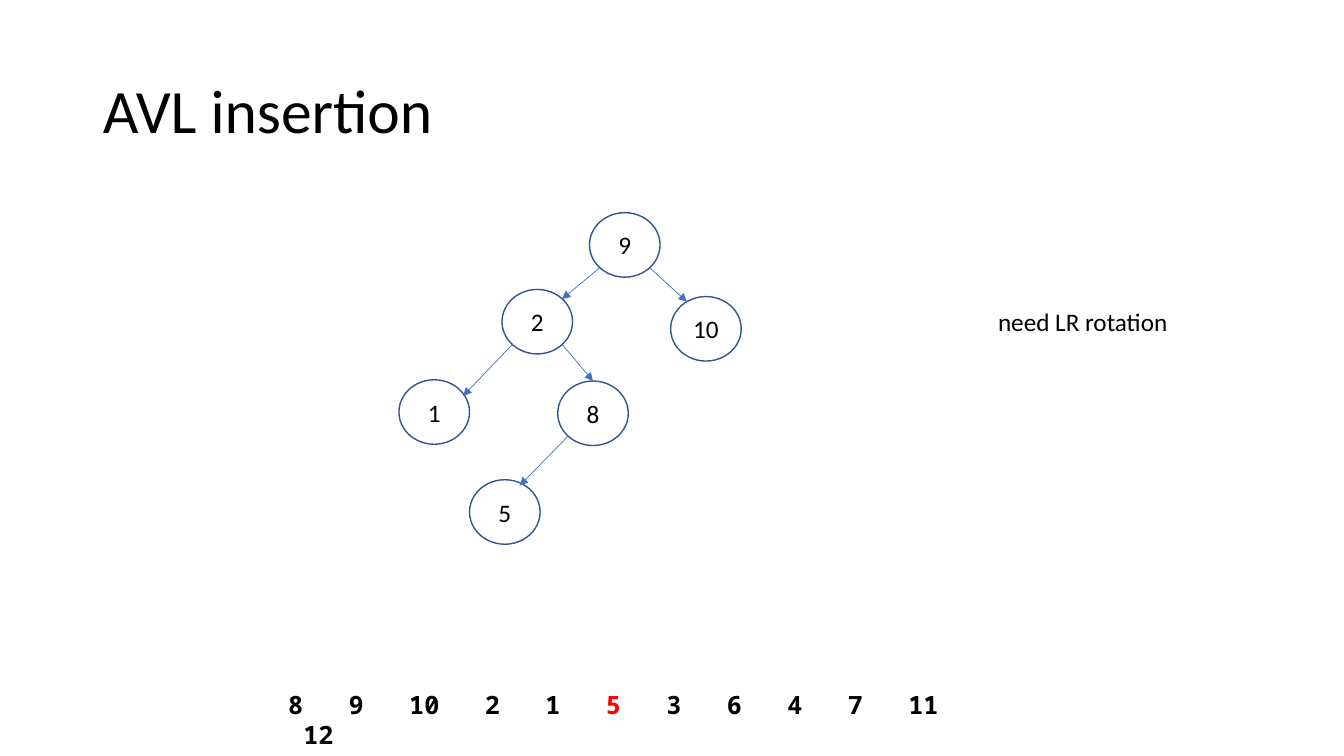
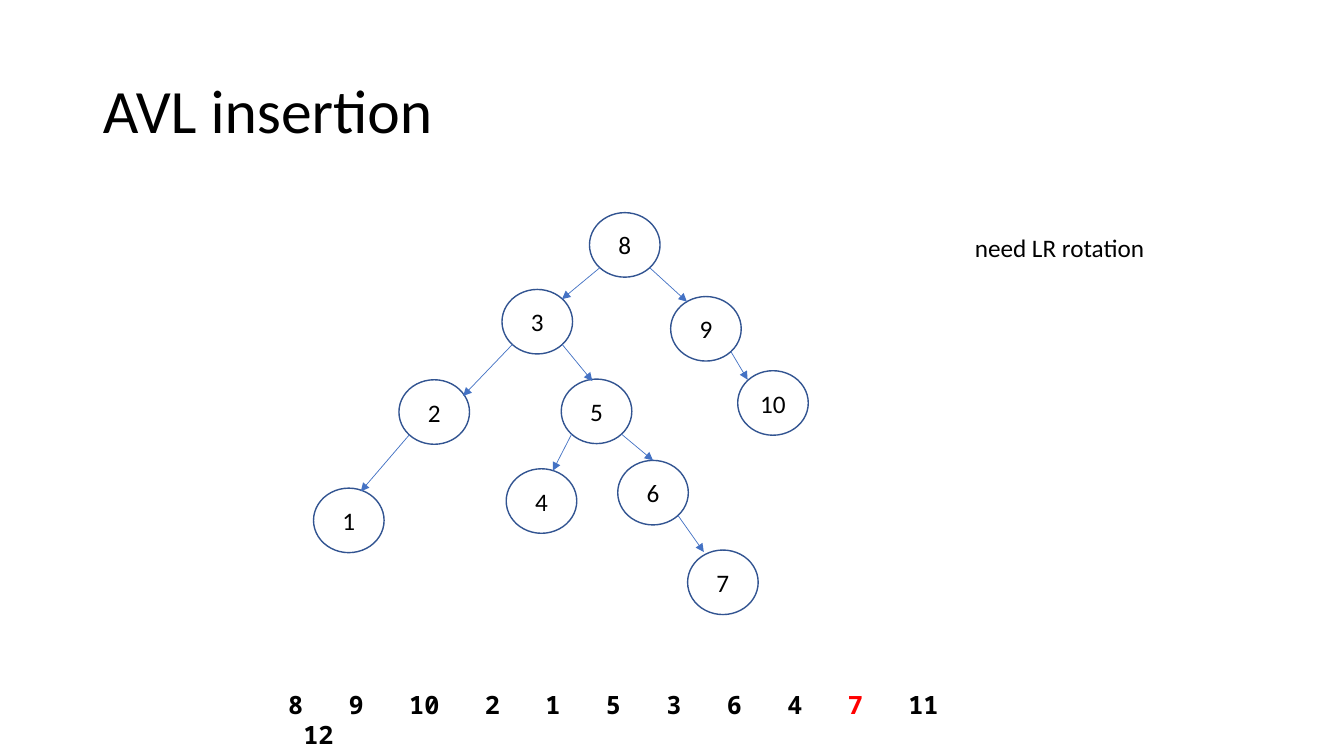
from dataclasses import dataclass

from lxml import etree
from pptx import Presentation
from pptx import util as u
from pptx.dml.color import RGBColor
from pptx.enum import shapes, text
from pptx.oxml.ns import qn


@dataclass(frozen=True)
class Theme:
    ink: RGBColor = RGBColor(0x00, 0x00, 0x00)
    current: RGBColor = RGBColor(0xFF, 0x00, 0x00)
    outline: RGBColor = RGBColor(0x32, 0x54, 0x91)
    edge: RGBColor = RGBColor(0x44, 0x72, 0xC4)
    body_font: str = "Calibri"
    key_font: str = "Noto Sans Mono"
    title_size: int = 44
    body_size: int = 18


@dataclass(frozen=True)
class Node:
    """Place in node widths and heights; landing is the share of the node where its edge ends."""
    key: int
    column: float
    row: float
    parent: int | None = None
    landing: tuple[float, float] = (0.5, 0)


THEME = Theme()
SLIDE_WIDTH, SLIDE_HEIGHT = 13.33, 7.5
TITLE_BOX = (0.92, 0.4, 11.5, 1.45)
TREE_ORIGIN = (3.11, 2.11)
KEYS_BOX = (2.76, 6.79, 6.81, 0.4)
NODE_WIDTH, NODE_HEIGHT = 0.7, 0.64
DIAGONAL = 0.5 ** 0.5 / 2  # share from a circle's centre to its 45-degree point
KEYS = (8, 9, 10, 2, 1, 5, 3, 6, 4, 7, 11, 12)
KEYS_ON_FIRST_LINE = 11
CHARACTER = 0.15  # width of one monospaced character in inches
KEY_GAP = 3  # characters between keys
NOTE = "need LR rotation"


def inches(*lengths):
    return [u.Inches(length) for length in lengths]


def style(paragraph, size=THEME.body_size, font=THEME.body_font, bold=None):
    paragraph.font.name = font
    paragraph.font.size = u.Pt(size)
    paragraph.font.bold = bold
    paragraph.font.color.rgb = THEME.ink


def add_text_frame(slide, box):
    frame = slide.shapes.add_textbox(*inches(*box)).text_frame
    frame.word_wrap = True
    frame.auto_size = text.MSO_AUTO_SIZE.SHAPE_TO_FIT_TEXT
    return frame


def set_title(slide, box, wording):
    title = slide.shapes.title
    title.left, title.top, title.width, title.height = inches(*box)
    frame = title.text_frame
    frame.text = wording
    frame.auto_size = text.MSO_AUTO_SIZE.NONE
    frame.vertical_anchor = text.MSO_ANCHOR.MIDDLE
    paragraph = frame.paragraphs[0]
    paragraph.alignment = text.PP_ALIGN.LEFT
    paragraph.line_spacing = 0.9
    style(paragraph, THEME.title_size)


def add_edge(slide, start, end):
    edge = slide.shapes.add_connector(
        shapes.MSO_CONNECTOR.STRAIGHT, *inches(*start, *end))
    edge.line.color.rgb = THEME.edge
    edge.line.width = u.Pt(0.5)
    properties = edge.element.spPr
    etree.SubElement(properties.find(qn("a:ln")), qn("a:tailEnd"), type="triangle")
    etree.SubElement(properties, qn("a:effectLst"))


def add_node(slide, left, top, key):
    circle = slide.shapes.add_shape(
        shapes.MSO_SHAPE.OVAL, *inches(left, top, NODE_WIDTH, NODE_HEIGHT))
    circle.shadow.inherit = False
    circle.fill.background()
    circle.line.color.rgb = THEME.outline
    circle.line.width = u.Pt(1)
    circle.text_frame.text = str(key)
    circle.text_frame.vertical_anchor = text.MSO_ANCHOR.MIDDLE
    paragraph = circle.text_frame.paragraphs[0]
    paragraph.alignment = text.PP_ALIGN.CENTER
    style(paragraph)


def add_tree(slide, origin, nodes):
    by_key = {node.key: node for node in nodes}

    def point(node, across, down):
        return (origin[0] + (node.column + across) * NODE_WIDTH,
                origin[1] + (node.row + down) * NODE_HEIGHT)

    for node in nodes:
        add_node(slide, *point(node, 0, 0), node.key)
        if node.parent is not None:
            parent = by_key[node.parent]
            side = 1 if node.column > parent.column else -1
            add_edge(slide, point(parent, 0.5 + side * DIAGONAL, 0.5 + DIAGONAL),
                     point(node, *node.landing))


def add_tab_stops(paragraph, keys):
    stops = etree.SubElement(paragraph._p.get_or_add_pPr(), qn("a:tabLst"))
    offset = 0
    for key in keys[:-1]:
        offset += (len(str(key)) + KEY_GAP) * CHARACTER
        etree.SubElement(stops, qn("a:tab"), pos=str(u.Inches(offset)), algn="l")


def add_keys(slide, box, current):
    """List the keys in order of insertion, with the current one highlighted."""
    frame = add_text_frame(slide, box)
    first, rest = KEYS[:KEYS_ON_FIRST_LINE], KEYS[KEYS_ON_FIRST_LINE:]
    for paragraph, keys in ((frame.paragraphs[0], first), (frame.add_paragraph(), rest)):
        if keys is rest:
            paragraph._p.get_or_add_pPr().set("marL", str(u.Inches(CHARACTER)))
        add_tab_stops(paragraph, keys)
        style(paragraph, font=THEME.key_font, bold=True)
        for index, key in enumerate(keys):
            run = paragraph.add_run()
            run.text = f"\t{key}" if index else str(key)
            if key == current:
                run.font.color.rgb = THEME.current


def add_note(slide, box):
    frame = add_text_frame(slide, box)
    frame.text = NOTE
    style(frame.paragraphs[0])


def add_insertion_slide(deck, nodes, current, note_box):
    slide = deck.slides.add_slide(deck.slide_layouts.get_by_name("Title Only"))
    set_title(slide, TITLE_BOX, "AVL insertion")
    add_keys(slide, KEYS_BOX, current)
    add_tree(slide, TREE_ORIGIN, nodes)
    add_note(slide, note_box)


def upper_nodes(root, left, right, far_left):
    """The four nodes that stand in the same place on every slide."""
    return [
        Node(root, 3.91, 0),
        Node(left, 2.67, 1.19, root, (0.85, 0.15)),
        Node(right, 5.06, 1.3, root, (0.23, 0.08)),
        Node(far_left, 1.21, 2.59, left, (0.91, 0.25)),
    ]


def main():
    deck = Presentation()
    deck.slide_width, deck.slide_height = inches(SLIDE_WIDTH, SLIDE_HEIGHT)

    inserting_5 = upper_nodes(9, 2, 10, 1) + [
        Node(8, 3.46, 2.61, 2),
        Node(5, 2.21, 4.14, 8, (0.71, 0.09)),
    ]
    add_insertion_slide(deck, inserting_5, 5, (9.8, 2.99, 2.62, 0.4))

    inserting_7 = upper_nodes(8, 3, 9, 2) + [
        Node(5, 3.51, 2.58, 3, (0.44, 0.03)),
        Node(10, 6.01, 2.45, 9, (0.14, 0.14)),
        Node(6, 4.31, 3.84, 5),
        Node(4, 2.73, 3.97, 5, (0.66, 0.03)),
        Node(1, 0, 4.27, 2, (0.67, 0.05)),
        Node(7, 5.3, 5.23, 6, (0.23, 0.03)),
    ]
    add_insertion_slide(deck, inserting_7, 7, (9.57, 2.26, 2.84, 0.4))

    deck.save("out.pptx")


if __name__ == "__main__":
    main()
